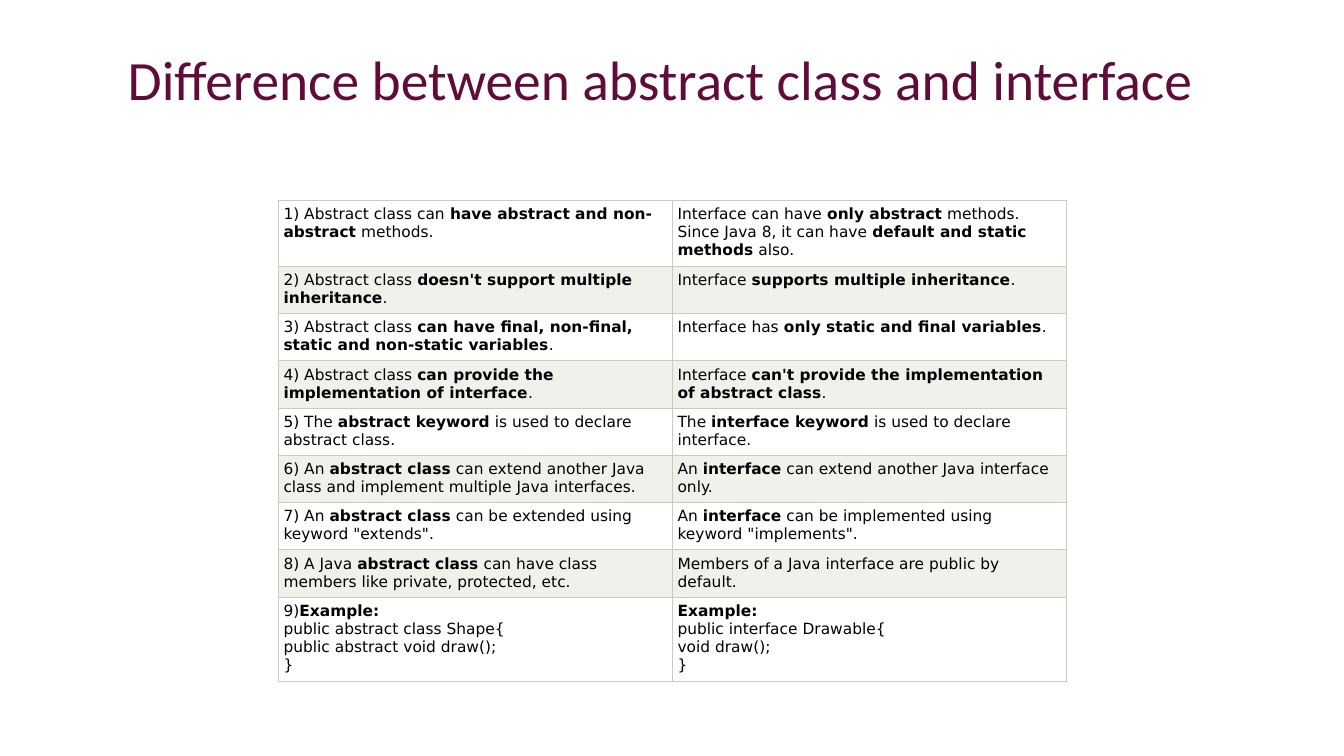
from dataclasses import dataclass

from lxml import etree
from pptx import Presentation, util as u
from pptx.dml.color import RGBColor
from pptx.enum import text
from pptx.oxml import ns
from pptx.table import _Cell as Cell

COLORS = {
    "title": "610B38",
    "text": "000000",
    "border": "C7CCBE",
    "odd": "FFFFFF",
    "even": "EFF1EB",
}
BORDER_WIDTH = u.Pt(0.75)
INSET = u.Pt(3.6)
COLUMN_WIDTH = u.Pt(281.5)


@dataclass(frozen=True)
class Difference:
    abstract_class: str
    interface: str
    height: float = 33.75


DIFFERENCES = [
    Difference(
        "1) Abstract class can **have abstract and non-abstract** methods.",
        "Interface can have **only abstract** methods. Since Java 8, it can have "
        "**default and static methods** also.",
        47.1,
    ),
    Difference(
        "2) Abstract class **doesn't support multiple inheritance**.",
        "Interface **supports multiple inheritance**.",
    ),
    Difference(
        "3) Abstract class **can have final, non-final, static and non-static variables**.",
        "Interface has **only static and final variables**.",
    ),
    Difference(
        "4) Abstract class **can provide the implementation of interface**.",
        "Interface **can't provide the implementation of abstract class**.",
    ),
    Difference(
        "5) The **abstract keyword** is used to declare abstract class.",
        "The **interface keyword** is used to declare interface.",
    ),
    Difference(
        "6) An **abstract class** can extend another Java class and implement "
        "multiple Java interfaces.",
        "An **interface** can extend another Java interface only.",
    ),
    Difference(
        '7) An **abstract class** can be extended using keyword "extends".',
        'An **interface** can be implemented using keyword "implements".',
    ),
    Difference(
        "8) A Java **abstract class** can have class members like private, protected, etc.",
        "Members of a Java interface are public by default.",
    ),
    Difference(
        "9)**Example:**\npublic abstract class Shape{\npublic abstract void draw();\n}",
        "**Example:**\npublic interface Drawable{\nvoid draw();\n}",
        60,
    ),
]


def apply(target: object, values: dict) -> None:
    for name, value in values.items():
        setattr(target, name, value)


def set_font(font, family: str, size: float, color: str, bold: bool = False) -> None:
    apply(font, {"name": family, "size": u.Pt(size), "bold": bold})
    font.color.rgb = RGBColor.from_string(COLORS[color])


def write_statement(cell: Cell, statement: str) -> None:
    paragraph = cell.text_frame.paragraphs[0]
    for number, line in enumerate(statement.split("\n")):
        if number:
            paragraph.add_line_break()
        for position, part in enumerate(line.split("**")):
            if part:
                run = paragraph.add_run()
                run.text = part
                set_font(run.font, "DejaVu Sans", 11, "text", position % 2 == 1)


def draw_borders(cell: Cell) -> None:
    properties = cell._tc.get_or_add_tcPr()
    for index, side in enumerate(("lnL", "lnR", "lnT", "lnB")):
        border = etree.Element(ns.qn(f"a:{side}"), w=str(BORDER_WIDTH))
        fill = etree.SubElement(border, ns.qn("a:solidFill"))
        etree.SubElement(fill, ns.qn("a:srgbClr"), val=COLORS["border"])
        properties.insert(index, border)


def draw_cell(cell: Cell, statement: str, fill: str) -> None:
    apply(cell, {f"margin_{side}": INSET for side in ("left", "right", "top", "bottom")})
    cell.vertical_anchor = text.MSO_ANCHOR.TOP
    cell.fill.solid()
    cell.fill.fore_color.rgb = RGBColor.from_string(COLORS[fill])
    write_statement(cell, statement)
    draw_borders(cell)


def draw_heading(slide) -> None:
    heading = slide.shapes.title
    apply(heading, {"left": u.Pt(66), "top": u.Pt(28.75),
                    "width": u.Pt(828), "height": u.Pt(104.4)})
    apply(heading.text_frame, {
        "text": "Difference between abstract class and interface",
        "word_wrap": True,
        "auto_size": text.MSO_AUTO_SIZE.NONE,
        "vertical_anchor": text.MSO_ANCHOR.TOP,
        "margin_left": u.Pt(25.2),
        "margin_top": u.Pt(9),
    })
    paragraph = heading.text_frame.paragraphs[0]
    apply(paragraph, {"alignment": text.PP_ALIGN.LEFT, "line_spacing": 0.9})
    set_font(paragraph.runs[0].font, "Calibri", 39.6, "title")


def draw_comparison(slide) -> None:
    height = u.Pt(sum(difference.height for difference in DIFFERENCES))
    comparison = slide.shapes.add_table(
        len(DIFFERENCES), 2, u.Pt(198.9), u.Pt(143.2), 2 * COLUMN_WIDTH, height
    ).table
    apply(comparison, {"first_row": False, "horz_banding": False})
    for column in comparison.columns:
        column.width = COLUMN_WIDTH
    for index, difference in enumerate(DIFFERENCES):
        comparison.rows[index].height = u.Pt(difference.height)
        fill = "even" if index % 2 else "odd"
        draw_cell(comparison.cell(index, 0), difference.abstract_class, fill)
        draw_cell(comparison.cell(index, 1), difference.interface, fill)


def main() -> None:
    deck = Presentation()
    apply(deck, {"slide_width": u.Pt(960), "slide_height": u.Pt(540)})
    slide = deck.slides.add_slide(deck.slide_layouts.get_by_name("Title Only"))
    draw_heading(slide)
    draw_comparison(slide)
    deck.save("out.pptx")


if __name__ == "__main__":
    main()
